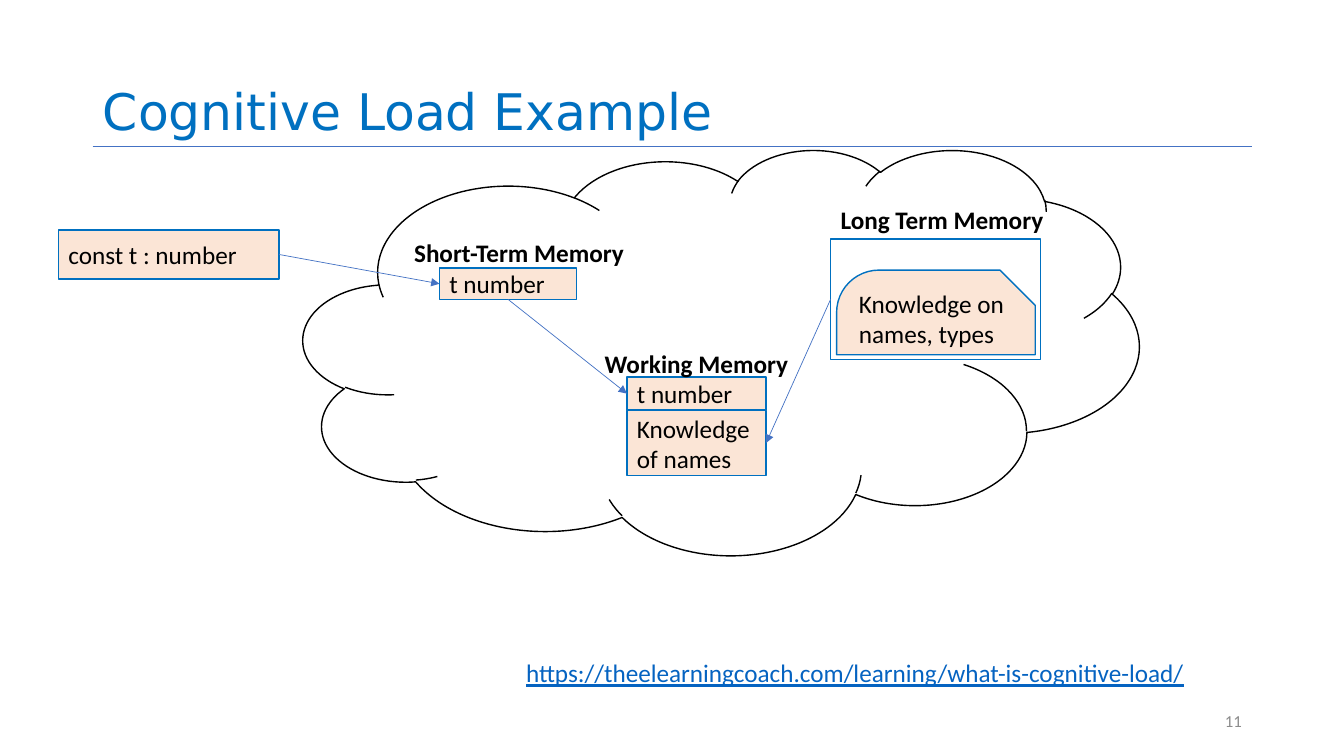
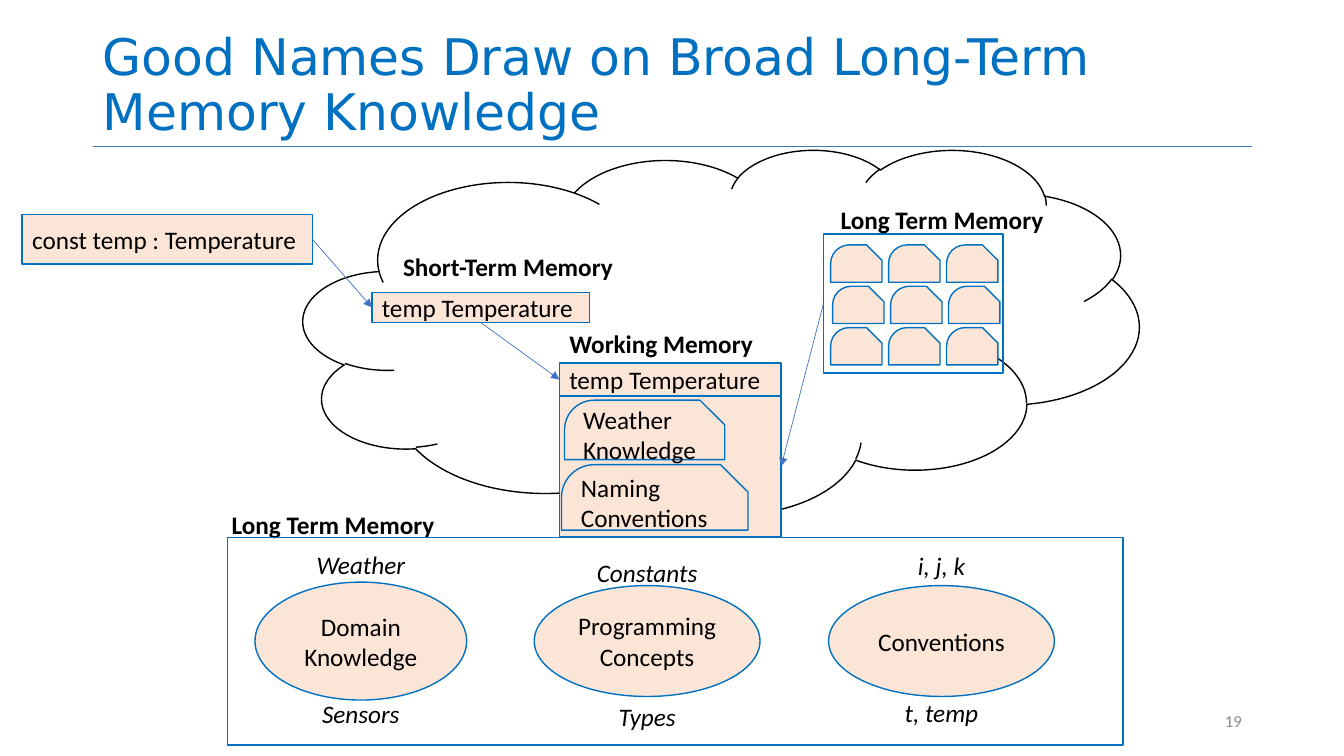
"""Build two slides on cognitive load and the naming of variables."""
from pptx import Presentation, util as u
from pptx.dml.color import RGBColor
from pptx.enum import shapes, text
from pptx.oxml.ns import qn
from lxml import etree

COLOURS = {"title": "0070C0", "border": "0070C0", "fill": "FBE5D6", "arrow": "4472C4",
           "ink": "000000", "link": "0563C1", "number": "8C8C8C"}
FONT, TITLE_FONT = "Calibri", "DejaVu Sans"
CELL = u.Inches(0.1)
COLUMNS, ROWS = 133.33, 75
TITLE_FRAME = (9.2, 0, 115, 14.5)
NUMBER_FRAME = (94.2, 69.5, 30, 4)
LABEL_SIZE = (25.1, 4.2)
CAPTION_SIZE = (15.4, 4.2)
TOP, LEFT, BOTTOM, RIGHT = range(4)

KINDS = {"box": shapes.MSO_SHAPE.RECTANGLE, "cloud": shapes.MSO_SHAPE.CLOUD,
         "chunk": shapes.MSO_SHAPE.SNIP_ROUND_RECTANGLE, "oval": shapes.MSO_SHAPE.OVAL}
ALIGN = {"left": text.PP_ALIGN.LEFT, "center": text.PP_ALIGN.CENTER, "right": text.PP_ALIGN.RIGHT}

EXAMPLE = {
    "title": "Cognitive Load Example", "number": "11", "cloud": (30.1, 14.8, 82.9, 40.2),
    "boxes": {
        "code": ("const t : number", (5.8, 22.8, 21.9, 4.9)),
        "long": ("", (82.4, 23.7, 20.8, 12)),
        "working": ("t number", (62.2, 37.4, 13.8, 3.3)),
        "short": ("t number", (43.6, 26.6, 13.6, 3.1)),
        "recalled": ("Knowledge of names", (62.2, 40.7, 13.8, 6.5)),
    },
    "labels": [("Short-Term Memory", 40.1, 22.9), ("Long Term Memory", 82.4, 19.7),
               ("Working Memory", 59, 34)],
    "chunks": [("Knowledge on names, types", (83, 26.8, 19.7, 8.4))],
}
GOOD_NAMES = {
    "title": "Good Names Draw on Broad Long-Term Memory Knowledge", "number": "19",
    "cloud": (30.1, 14.8, 82.9, 36.2),
    "boxes": {
        "code": ("const temp : Temperature", (2.2, 21.3, 28.8, 4.9)),
        "long": ("", (81.7, 23.2, 17.8, 13.8)),
        "working": ("temp Temperature", (55.5, 36, 22, 3.3)),
        "short": ("temp Temperature", (36.9, 29, 21.6, 3)),
        "recalled": ("", (55.5, 39.3, 22, 13.9)),
    },
    "labels": [("Short-Term Memory", 39, 24.3), ("Long Term Memory", 82.4, 19.7),
               ("Working Memory", 55.5, 32), ("Long Term Memory", 22, 49.9)],
    "chunks": [("Weather Knowledge", (56, 39.7, 15.9, 5.9)),
               ("Naming Conventions", (55.7, 46.1, 18.5, 6.5))]
    + [("", (82.4 + 5.75 * column + 0.2 * (row == 1), 24.3 + 4.1 * row, 5.1, 3.7))
       for row in range(3) for column in range(3)],
}
ARROWS = [("code", RIGHT, "short", LEFT), ("short", BOTTOM, "working", LEFT),
          ("long", LEFT, "recalled", RIGHT)]
SOURCE = ("https://theelearningcoach.com/learning/what-is-cognitive-load/", (51.2, 63.3, 69.1, 6.9))
STORE_FRAME = (22.6, 53.3, 88.8, 20.6)
STORE_MIDDLE = 63.6
TOPICS = [("Domain Knowledge", 35.8, (21, 11.7), ("Weather", 53.9), ("Sensors", 68.7)),
          ("Programming Concepts", 64.2, (22.4, 11), ("Constants", 54.7), ("Types", 69)),
          ("Conventions", 93.4, (22.4, 11), ("i, j, k", 54), ("t, temp", 68.6))]


def colour(name):
    """Return the named colour."""
    return RGBColor.from_string(COLOURS[name])


def place(frame):
    """Turn grid cells into slide lengths."""
    return [round(value * CELL) for value in frame]


def write(box, words, size=18, font=FONT, ink="ink", align="left", anchor="MIDDLE",
          bold=False, italic=False, underline=False, spacing=1.0):
    """Put formatted text into a shape."""
    frame = box.text_frame
    frame.word_wrap = True
    frame.auto_size = text.MSO_AUTO_SIZE.NONE
    frame.vertical_anchor = text.MSO_ANCHOR[anchor]
    para = frame.paragraphs[0]
    para.alignment, para.line_spacing = ALIGN[align], spacing
    span = para.add_run()
    span.text = words
    span.font.name, span.font.size = font, u.Pt(size)
    span.font.bold, span.font.italic, span.font.underline = bold, italic, underline
    span.font.color.rgb = colour(ink)


def add_text(page, words, frame, **style):
    """Add a text box."""
    write(page.shapes.add_textbox(*place(frame)), words, **style)


def add_shape(page, kind, frame, words="", fill="fill", border="border", **style):
    """Add an outlined shape, filled and labelled on request."""
    shape = page.shapes.add_shape(KINDS[kind], *place(frame))
    shape.shadow.inherit = False
    if fill:
        shape.fill.solid()
        shape.fill.fore_color.rgb = colour(fill)
    else:
        shape.fill.background()
    shape.line.color.rgb, shape.line.width = colour(border), u.Pt(1)
    if kind == "chunk":
        shape.adjustments[0], shape.adjustments[1] = 0.5, 0.417
    if words:
        write(shape, words, **style)
    return shape


def add_line(page, start=(0, 0), end=(0, 0), arrow=False):
    """Add a thin straight line."""
    line = page.shapes.add_connector(shapes.MSO_CONNECTOR.STRAIGHT, *place(start + end))
    line.line.color.rgb, line.line.width = colour("arrow"), u.Pt(0.5)
    properties = line.element.spPr
    if arrow:
        etree.SubElement(properties.find(qn("a:ln")), qn("a:tailEnd"), type="triangle")
    etree.SubElement(properties, qn("a:effectLst"))
    return line


def add_memory_page(deck, layout, content):
    """Add a slide with the cloud of three memories."""
    page = deck.slides.add_slide(layout)
    write(page.shapes.title, content["title"], size=36, font=TITLE_FONT, ink="title",
          anchor="BOTTOM", spacing=0.9)
    add_text(page, content["number"], NUMBER_FRAME, size=12, ink="number", align="right")
    add_shape(page, "cloud", content["cloud"], fill=None, border="ink")
    boxes = {name: add_shape(page, "box", frame, words, fill=None if name == "long" else "fill")
             for name, (words, frame) in content["boxes"].items()}
    for words, left, top in content["labels"]:
        add_text(page, words, (left, top) + LABEL_SIZE, bold=True)
    for origin, exit_side, target, entry_side in ARROWS:
        line = add_line(page, arrow=True)
        line.begin_connect(boxes[origin], exit_side)
        line.end_connect(boxes[target], entry_side)
    for words, frame in content["chunks"]:
        add_shape(page, "chunk", frame, words)
    return page


def add_topics(page):
    """Add the long term store with its topics and captions."""
    add_shape(page, "box", STORE_FRAME, fill=None)
    for words, centre, (width, height), *captions in TOPICS:
        frame = (centre - width / 2, STORE_MIDDLE - height / 2, width, height)
        add_shape(page, "oval", frame, words, align="center")
        for caption, top in captions:
            add_text(page, caption, (centre - CAPTION_SIZE[0] / 2, top) + CAPTION_SIZE,
                     align="center", italic=True)


def main():
    """Build and save the deck."""
    deck = Presentation()
    deck.slide_width, deck.slide_height = place((COLUMNS, ROWS))
    layout = deck.slide_layouts.get_by_name("Title Only")
    heading = layout.placeholders[0]
    heading.left, heading.top, heading.width, heading.height = place(TITLE_FRAME)
    example = add_memory_page(deck, layout, EXAMPLE)
    add_text(example, *SOURCE, ink="link", underline=True)
    left, top, width, height = TITLE_FRAME
    rule = add_line(example, (left, top + height), (left + width, top + height))
    layout.shapes.element.append(rule.element)
    add_topics(add_memory_page(deck, layout, GOOD_NAMES))
    deck.save("out.pptx")


if __name__ == "__main__":
    main()
